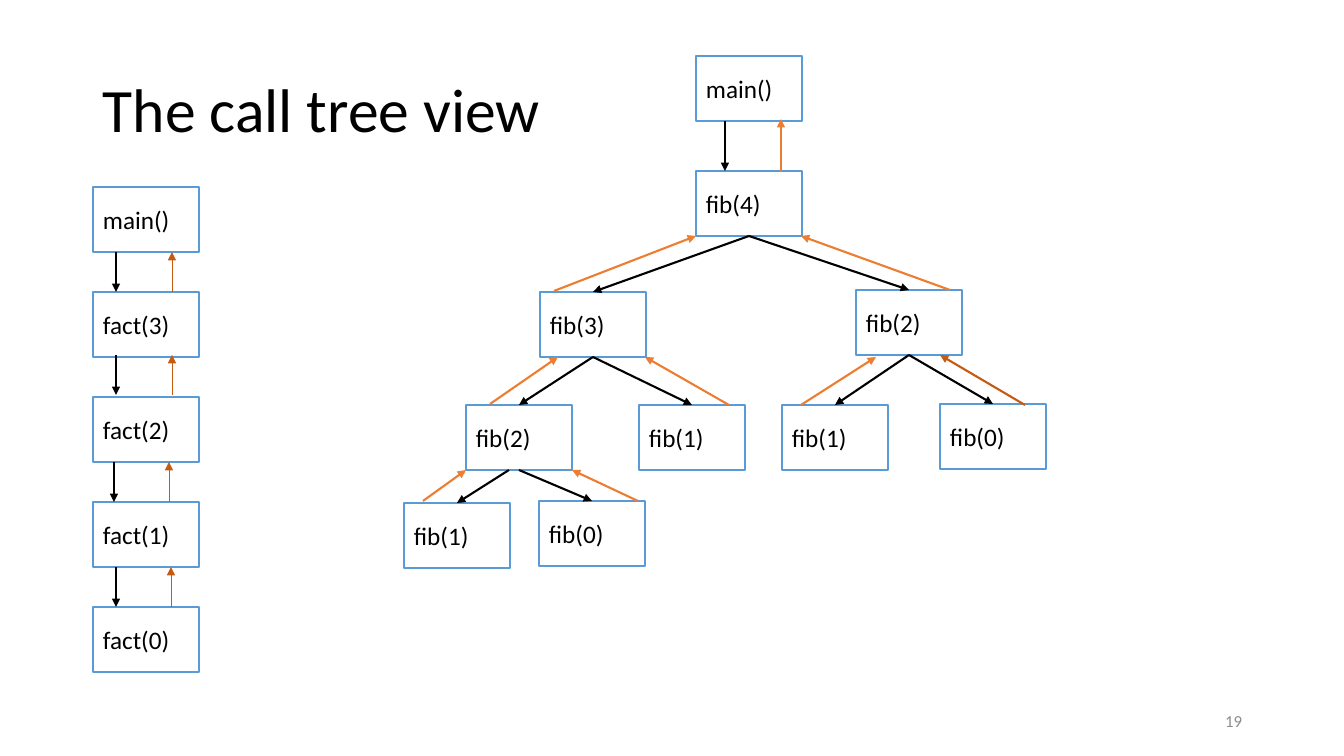
from dataclasses import dataclass

from lxml import etree
from pptx import Presentation
from pptx.dml.color import RGBColor
from pptx.enum.shapes import MSO_CONNECTOR, MSO_SHAPE
from pptx.enum.text import MSO_ANCHOR, PP_ALIGN
from pptx.oxml.ns import qn
from pptx.util import Emu, Pt

STRAIGHT = MSO_CONNECTOR.STRAIGHT
RECTANGLE = MSO_SHAPE.RECTANGLE
MIDDLE = MSO_ANCHOR.MIDDLE
LEFT, RIGHT = PP_ALIGN.LEFT, PP_ALIGN.RIGHT
TOP_SITE, BOTTOM_SITE = 0, 2

SLIDE_W, SLIDE_H = 1344, 756
EMU_PER_PX = 12192000 / SLIDE_W
BOX_W, BOX_H = 106, 65


@dataclass(frozen=True)
class Theme:
    font: str = "Calibri"
    text: str = "000000"
    muted: str = "8C8C8C"
    frame: str = "5B9BD5"
    call: str = "000000"
    back: str = "ED7D31"
    back_dark: str = "C55A11"
    title_size: int = 44
    label_size: int = 18
    number_size: int = 12
    frame_width: float = 1
    arrow_width: float = 1.5
    thin_width: float = 0.5


def px(n):
    return Emu(round(n * EMU_PER_PX))


class SlideBuilder:
    def __init__(self, slide, theme):
        self.shapes = slide.shapes
        self.theme = theme

    def fill_text(self, sp, text, size, color, align=LEFT, spacing=None):
        tf = sp.text_frame
        tf.word_wrap = True
        tf.vertical_anchor = MIDDLE
        p = tf.paragraphs[0]
        p.alignment = align
        if spacing:
            p.line_spacing = spacing
        r = p.add_run()
        r.text = text
        r.font.name = self.theme.font
        r.font.size = Pt(size)
        r.font.color.rgb = RGBColor.from_string(color)

    def text(self, x, y, w, h, text, size, color, **style):
        sp = self.shapes.add_textbox(px(x), px(y), px(w), px(h))
        self.fill_text(sp, text, size, color, **style)

    def call_box(self, x, y, text):
        t = self.theme
        sp = self.shapes.add_shape(RECTANGLE, px(x), px(y), px(BOX_W), px(BOX_H))
        sp.shadow.inherit = False
        sp.fill.background()
        sp.line.color.rgb = RGBColor.from_string(t.frame)
        sp.line.width = Pt(t.frame_width)
        self.fill_text(sp, text, t.label_size, t.text)
        return sp

    def arrow(self, start, end, color, width=None):
        line = self.shapes.add_connector(STRAIGHT, *map(px, (*start, *end)))
        line.line.color.rgb = RGBColor.from_string(color)
        line.line.width = Pt(width or self.theme.arrow_width)
        ln = line._element.spPr.find(qn("a:ln"))
        etree.SubElement(ln, qn("a:tailEnd"), type="triangle")
        etree.SubElement(line._element.spPr, qn("a:effectLst"))
        return line


def main():
    prs = Presentation()
    prs.slide_width, prs.slide_height = px(SLIDE_W), px(SLIDE_H)
    s = prs.slides.add_slide(prs.slide_layouts[6])
    theme = Theme()
    b = SlideBuilder(s, theme)

    # Title and slide number
    b.text(93, 40, 1159, 146, "The call tree view", theme.title_size, theme.text,
           spacing=0.9)
    b.text(950, 701, 302, 40, "19", theme.number_size, theme.muted, align=RIGHT)

    # Factorial call chain
    chain_x, chain_y, chain_step = 93, 187, 105
    for i, name in enumerate(["main()", "fact(3)", "fact(2)", "fact(1)", "fact(0)"]):
        b.call_box(chain_x, chain_y + i * chain_step, name)

    # Each gap: call x, return x, vertical shift
    gaps = [(116, 172, 0), (116, 172, -2), (114, 169, 0), (116, 171, 0)]
    for i, (call_x, back_x, shift) in enumerate(gaps):
        upper = chain_y + i * chain_step + BOX_H + shift
        lower = chain_y + (i + 1) * chain_step + shift
        b.arrow((call_x, upper), (call_x, lower), theme.call)
        b.arrow((back_x, lower), (back_x, upper), theme.back_dark, theme.thin_width)

    # Fibonacci call tree: key -> x, y, label
    nodes = {
        "main": (696, 56, "main()"),
        "4": (696, 171, "fib(4)"),
        "4-3": (540, 292, "fib(3)"),
        "4-2": (856, 290, "fib(2)"),
        "4-3-2": (466, 405, "fib(2)"),
        "4-3-1": (639, 405, "fib(1)"),
        "4-2-1": (782, 405, "fib(1)"),
        "4-2-0": (940, 404, "fib(0)"),
        "4-3-2-1": (404, 503, "fib(1)"),
        "4-3-2-0": (539, 501, "fib(0)"),
    }
    boxes = {key: b.call_box(*node) for key, node in nodes.items()}

    # Calls from each parent down to its children
    b.arrow((725, 121), (725, 171), theme.call)
    for key, (x, y, _) in nodes.items():
        parent = key.rpartition("-")[0]
        if not parent:
            continue
        parent_x, parent_y, _ = nodes[parent]
        off_centre = key == "4-3-2-1"
        start_x = parent_x + BOX_W // 2 - (10 if off_centre else 0)
        line = b.arrow((start_x, parent_y + BOX_H), (x + BOX_W // 2, y), theme.call)
        if not off_centre:
            line.begin_connect(boxes[parent], BOTTOM_SITE)
        line.end_connect(boxes[key], TOP_SITE)

    # Returns from children up to their parents
    returns = [
        ((423, 501), (466, 470)),
        ((638, 501), (572, 470)),
        ((490, 404), (558, 357)),
        ((729, 405), (645, 357)),
        ((554, 291), (696, 236)),
        ((801, 405), (876, 357)),
        ((950, 290), (801, 236)),
        ((781, 172), (781, 119)),
    ]
    for start, end in returns:
        b.arrow(start, end, theme.back)
    b.arrow((1025, 405), (940, 355), theme.back_dark)

    prs.save("out.pptx")


if __name__ == "__main__":
    main()
